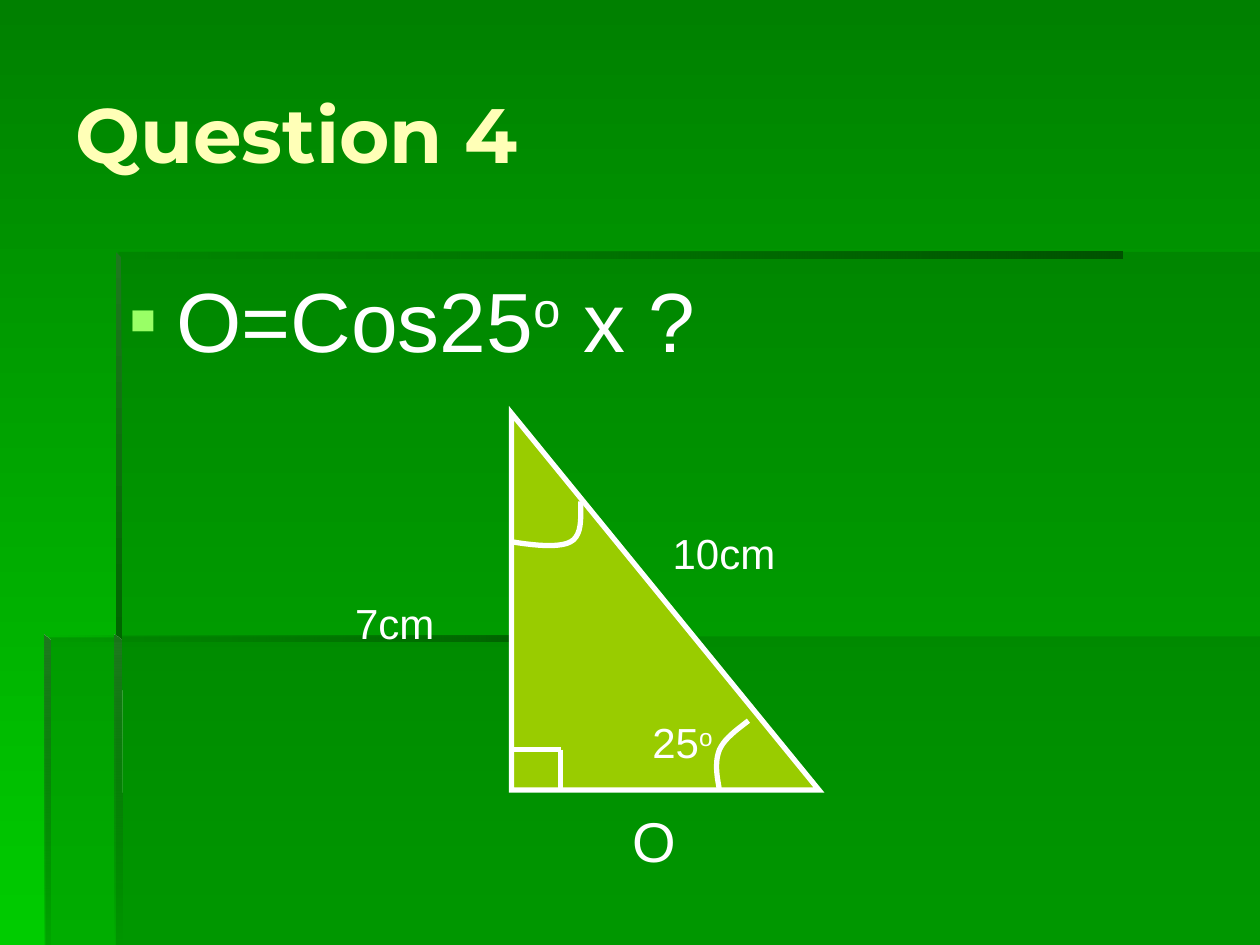
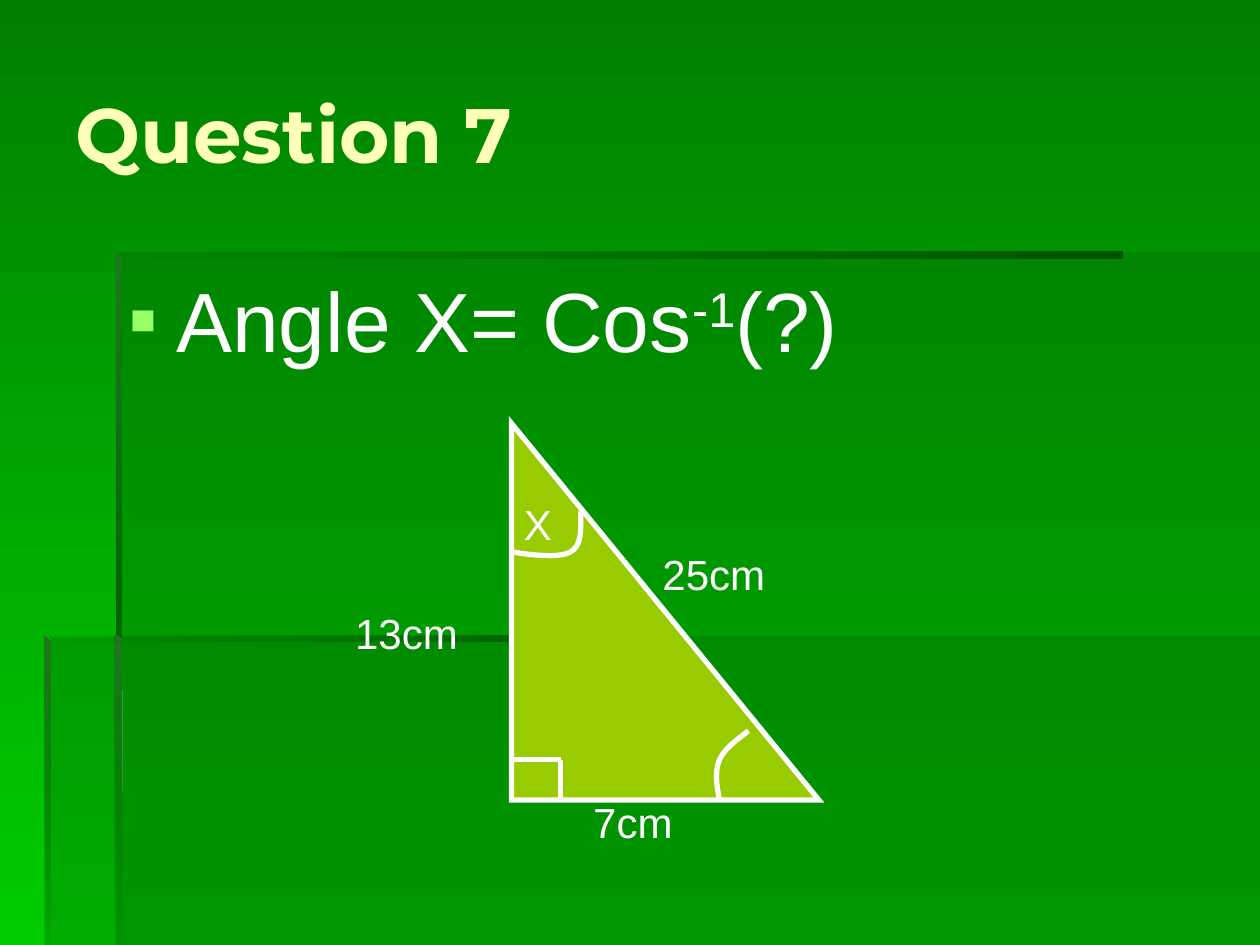
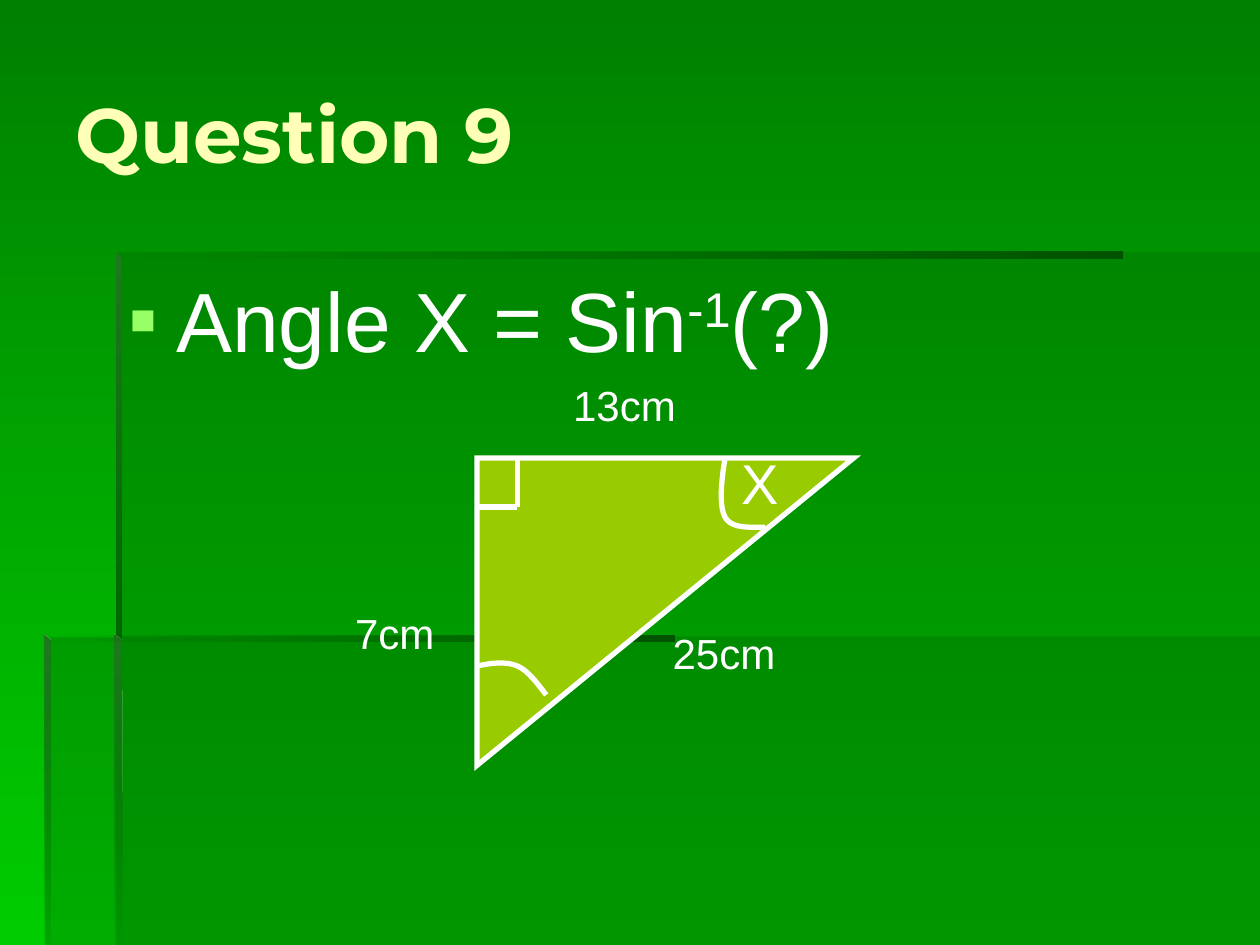
import lxml.etree
import pptx
import pptx.dml.color
import pptx.enum.shapes
import pptx.enum.text
import pptx.oxml.ns
import pptx.util

RGBColor = pptx.dml.color.RGBColor
TOP_GREEN = RGBColor(0x00, 0x80, 0x00)
BOTTOM_GREEN = RGBColor(0x00, 0xCC, 0x00)
PANEL_GREEN = RGBColor(0x00, 0x66, 0x00)
RULE_GREEN = RGBColor(0x00, 0x53, 0x00)
EDGE_GREEN = RGBColor(0x1E, 0x78, 0x1E)
TRIANGLE_LIME = RGBColor(0x99, 0xCC, 0x00)
BULLET_LIME = RGBColor(0x99, 0xFF, 0x66)
TITLE_CREAM = RGBColor(0xFF, 0xFF, 0xB7)
WHITE = RGBColor(0xFF, 0xFF, 0xFF)

TITLE_FONT = "Montserrat"
TEXT_FONT = "Arial"
COLUMNS, ROWS = 100, 75
CELL = pptx.util.Inches(0.1)
DOWNWARD, LEFTWARD = 270, 180

PANELS = [
    [(9.2, 50.5), (9.2, ROWS), (COLUMNS, ROWS), (COLUMNS, 50.5)],
    [(9.4, 50.6), (3.6, 50.6), (3.6, ROWS), (COLUMNS, ROWS), (COLUMNS, 20), (9.4, 20)],
]
BEVELS = [
    ([(9.2, 20), (9.2, 20.5), (89.1, 20.5), (89.1, 20)], RULE_GREEN, 0, LEFTWARD),
    ([(9.2, 20), (9.2, 51), (9.7, 51), (9.6, 20.4)], EDGE_GREEN, 100, DOWNWARD),
    ([(9.1, ROWS), (9.7, ROWS), (9.6, 50.8), (9.1, 50.4)], EDGE_GREEN, 0, DOWNWARD),
    ([(3.5, 50.4), (3.5, 50.9), (53.5, 50.9), (53.5, 50.4)], RULE_GREEN, 0, LEFTWARD),
    ([(3.5, 50.4), (3.5, ROWS), (4, ROWS), (4, 50.9)], EDGE_GREEN, 10, DOWNWARD),
]

TRIANGLE_LEFT, TRIANGLE_WIDTH, TRIANGLE_HEIGHT = 40.6, 24.4, 29.9
APEX_ARC = [(0, 10.2), (1.8, 10.5), (3.8, 10.7), (4.7, 10.2), (5.6, 9.7), (5.5, 8.4), (5.5, 7)]
BASE_ARC = [(18.8, 24.4), (17.9, 25.1), (16.9, 25.8), (16.5, 26.7),
            (16.1, 27.7), (16.3, 28.8), (16.5, 29.9)]
SQUARE_MARK = [(0, 26.7), (3.9, 26.7), (3.9, 29.9)]


def cells(count):
    return round(count * CELL)


def add_element(parent, tag, **attributes):
    return lxml.etree.SubElement(parent, pptx.oxml.ns.qn(tag), attributes)


def set_opacity(fill_element, percent):
    color = fill_element.findall(".//" + pptx.oxml.ns.qn("a:srgbClr"))[-1]
    add_element(color, "a:alpha", val=str(percent * 1000))


def set_gradient(fill, first, last, angle):
    fill.gradient()
    fill.gradient_angle = angle
    for stop, color in zip(fill.gradient_stops, (first, last)):
        stop.color.rgb = color


def set_outline(shape):
    shape.line.color.rgb = WHITE
    shape.line.width = pptx.util.Pt(3)
    add_element(shape.line._get_or_add_ln(), "a:miter", lim="800000")


def add_outline_shape(page, points, close):
    corners = [(cells(x), cells(y)) for x, y in points]
    builder = page.shapes.build_freeform(*corners[0], scale=1.0)
    builder.add_line_segments(corners[1:], close=close)
    shape = builder.convert_to_shape()
    shape.shadow.inherit = False
    return shape


def add_backdrop(page):
    set_gradient(page.background.fill, TOP_GREEN, BOTTOM_GREEN, DOWNWARD)
    for corners in PANELS:
        panel = add_outline_shape(page, corners, True)
        panel.fill.solid()
        panel.fill.fore_color.rgb = PANEL_GREEN
        panel.line.fill.background()
        set_opacity(panel._element.spPr, 30)
    for corners, color, opacity, angle in BEVELS:
        bevel = add_outline_shape(page, corners, True)
        set_gradient(bevel.fill, color, PANEL_GREEN, angle)
        bevel.line.fill.background()
        set_opacity(bevel._element.spPr, opacity)


def add_text_box(page, left, top, width, height):
    box = page.shapes.add_textbox(*map(cells, (left, top, width, height)))
    box.text_frame.word_wrap = True
    return box


def write_spans(para, text, size):
    for index, part in enumerate(text.split("^")):
        span = para.add_run()
        span.text = part
        span.font.name = TEXT_FONT
        span.font.size = pptx.util.Pt(size)
        span.font.color.rgb = WHITE
        if index % 2:
            span._r.get_or_add_rPr().set("baseline", "30000")


def add_title(page, text):
    frame = add_text_box(page, 5, 2.7, 91.7, 15.7).text_frame
    frame.vertical_anchor = pptx.enum.text.MSO_ANCHOR.MIDDLE
    frame.text = text
    font = frame.paragraphs[0].runs[0].font
    font.name = TITLE_FONT
    font.size = pptx.util.Pt(44)
    font.bold = True
    font.color.rgb = TITLE_CREAM


def add_question(page, text):
    para = add_text_box(page, 9.2, 20.8, 87.6, 45.8).text_frame.paragraphs[0]
    properties = para._p.get_or_add_pPr()
    properties.set("marL", str(cells(3.8)))
    properties.set("indent", str(cells(-3.8)))
    add_element(add_element(properties, "a:buClr"), "a:srgbClr", val=str(BULLET_LIME))
    add_element(properties, "a:buFont", typeface=TEXT_FONT)
    add_element(properties, "a:buChar", char="▪")
    write_spans(para, text, 48)


def add_label(page, text, left, top, width, size=24):
    box = add_text_box(page, left, top, width, size / 5 + 0.1)
    box.text_frame.auto_size = pptx.enum.text.MSO_AUTO_SIZE.SHAPE_TO_FIT_TEXT
    write_spans(box.text_frame.paragraphs[0], text, size)


def curve_points(controls, steps=10):
    points = [controls[0]]
    for start in range(0, len(controls) - 1, 3):
        segment = controls[start:start + 4]
        for step in range(1, steps + 1):
            t = step / steps
            weights = ((1 - t) ** 3, 3 * t * (1 - t) ** 2, 3 * t * t * (1 - t), t ** 3)
            points.append(tuple(sum(weight * point[axis] for weight, point in zip(weights, segment))
                                for axis in (0, 1)))
    return points


def add_triangle(page, top, turned=False):
    def place(point):
        x, y = point[0] - TRIANGLE_WIDTH / 2, point[1] - TRIANGLE_HEIGHT / 2
        if turned:
            x, y = -y, x
        return TRIANGLE_LEFT + TRIANGLE_WIDTH / 2 + x, top + TRIANGLE_HEIGHT / 2 + y

    triangle = page.shapes.add_shape(
        pptx.enum.shapes.MSO_SHAPE.RIGHT_TRIANGLE,
        *map(cells, (TRIANGLE_LEFT, top, TRIANGLE_WIDTH, TRIANGLE_HEIGHT)))
    triangle.rotation = 90 if turned else 0
    triangle.shadow.inherit = False
    triangle.fill.solid()
    triangle.fill.fore_color.rgb = TRIANGLE_LIME
    set_outline(triangle)
    for controls in (APEX_ARC, BASE_ARC):
        arc = add_outline_shape(page, [place(point) for point in curve_points(controls)], False)
        arc.fill.background()
        set_outline(arc)
    for start, end in zip(SQUARE_MARK, SQUARE_MARK[1:]):
        side = page.shapes.add_connector(
            pptx.enum.shapes.MSO_CONNECTOR.STRAIGHT, *map(cells, place(start) + place(end)))
        set_outline(side)
        add_element(side._element.spPr, "a:effectLst")


def add_question_page(deck, title, question, triangle_top, labels, turned=False):
    page = deck.slides.add_slide(deck.slide_layouts[6])
    add_backdrop(page)
    add_title(page, title)
    add_question(page, question)
    add_triangle(page, triangle_top, turned)
    for label in labels:
        add_label(page, *label)


def main():
    deck = pptx.Presentation()
    deck.slide_width = cells(COLUMNS)
    deck.slide_height = cells(ROWS)
    add_question_page(deck, "Question 4", "O=Cos25^o^ x ?", 32.8, [
        ("7cm", 27.2, 46.9, 12.6),
        ("25^o", 50.8, 56.4, 8.7),
        ("O", 49.2, 63.5, 6.3, 32),
        ("10cm", 52.4, 41.4, 11.8),
    ])
    add_question_page(deck, "Question 7", "Angle X= Cos^-1^(?)", 33.6, [
        ("13cm", 27.2, 47.7, 12.6),
        ("X", 40.6, 39.1, 8.7),
        ("25cm", 51.6, 43, 11),
        ("7cm", 46.1, 62.7, 10.2),
    ])
    add_question_page(deck, "Question 9", "Angle X = Sin^-1^(?)", 33.6, [
        ("7cm", 27.2, 47.7, 12.6),
        ("25cm", 52.4, 49.3, 10.2),
        ("X", 57.9, 35.1, 6.3, 32),
        ("13cm", 44.5, 29.6, 10.2),
    ], turned=True)
    deck.save("out.pptx")


if __name__ == "__main__":
    main()
